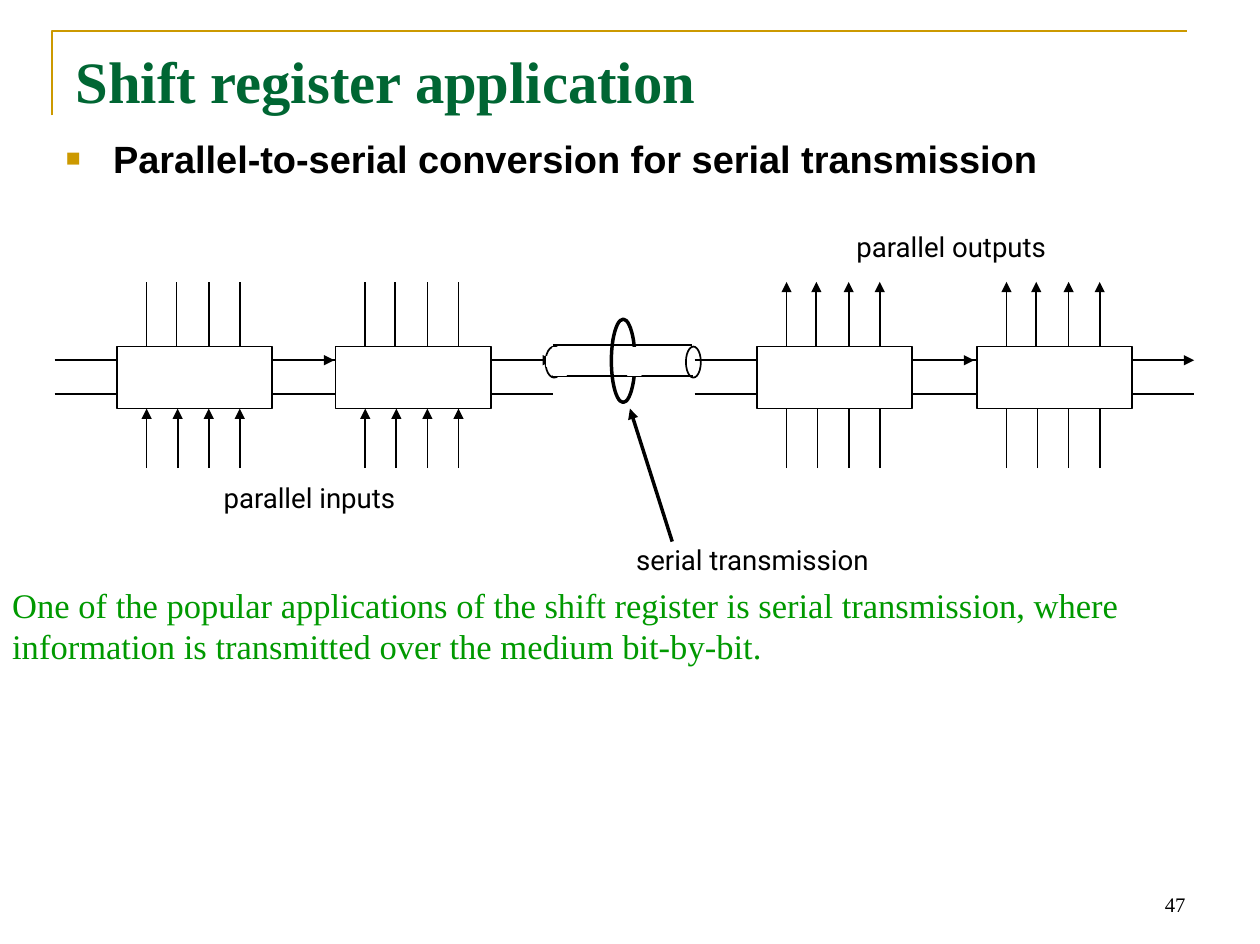
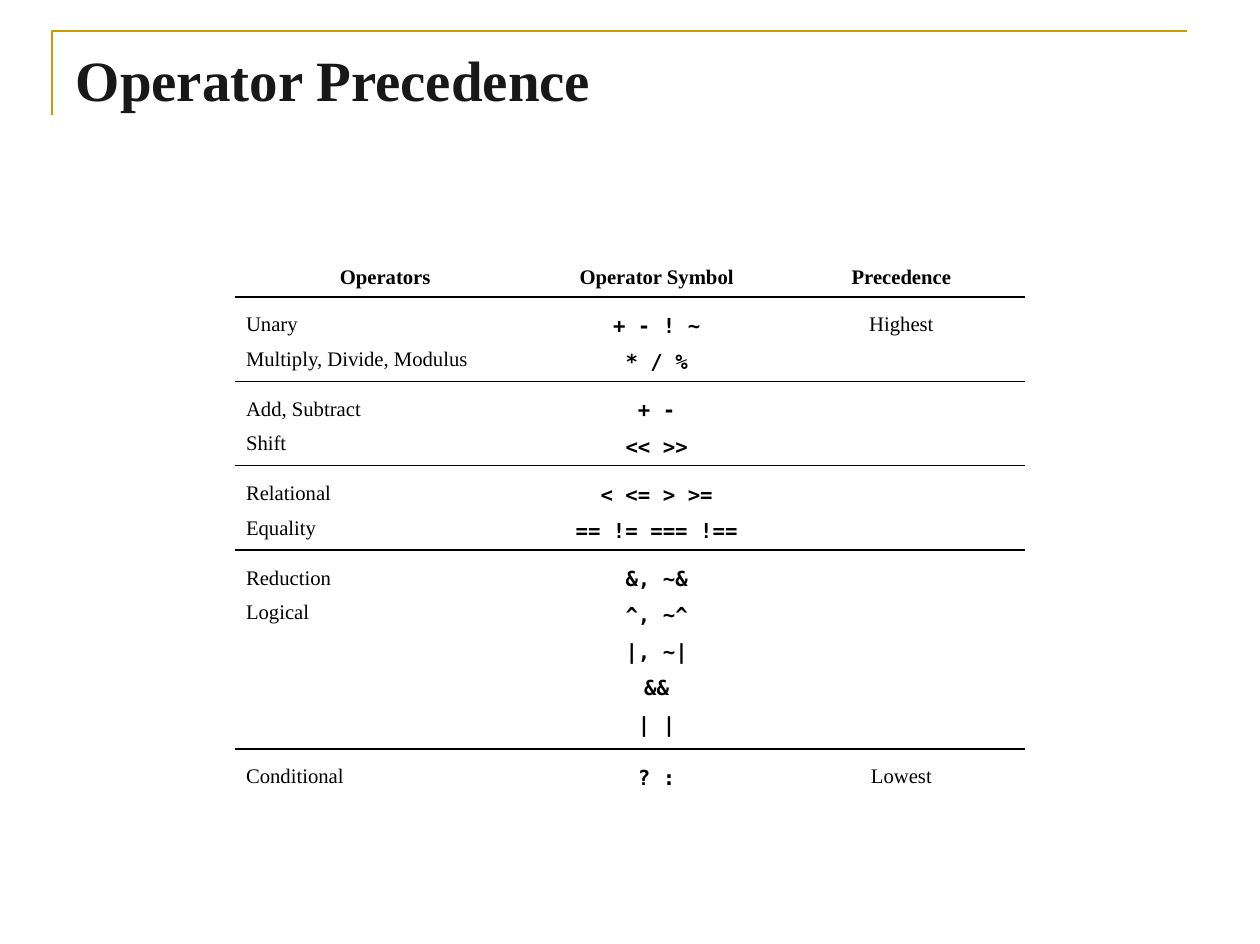
from lxml import etree
from pptx import Presentation
from pptx.dml.color import RGBColor
from pptx.enum.shapes import MSO_CONNECTOR, MSO_SHAPE
from pptx.enum.text import MSO_ANCHOR, MSO_AUTO_SIZE, PP_ALIGN
from pptx.oxml.ns import qn
from pptx.util import Inches, Pt

RECT, OVAL = MSO_SHAPE.RECTANGLE, MSO_SHAPE.OVAL
STRAIGHT = MSO_CONNECTOR.STRAIGHT
LEFT, CENTER, RIGHT = PP_ALIGN.LEFT, PP_ALIGN.CENTER, PP_ALIGN.RIGHT
TOP, BOTTOM = MSO_ANCHOR.TOP, MSO_ANCHOR.BOTTOM

COLORS = {"black": "000000", "white": "FFFFFF", "gold": "CC9900",
          "heading": "006633", "dark": "181818", "note": "009900"}
SERIF, SANS, LABEL, CODE = "Times New Roman", "Arial", "Roboto", "DejaVu Sans Mono"

# Shared by both slides
TITLE_BOX = (0.51, 0.31, 9.12, 1.26)
CORNER_RULE = [(0.42, 0.93), (0.42, 0.25), (9.55, 0.25)]

# Shift register slide
BULLET = "Parallel-to-serial conversion for serial transmission"
BULLET_BOX = (0.43, 1.04, 9.12, 5.02)
NOTE = ("One of the popular applications of the shift register is serial transmission, "
        "where information is transmitted over the medium bit-by-bit.")
NOTE_BOX = (0, 4.65, 10.14, 0.77)
PAGE_NUMBER, PAGE_BOX = "47", (7.27, 6.92, 2.37, 0.51)
DIAGRAM_LABELS = [("parallel inputs", (1.4, 3.86, 2.18, 0.39)),
                  ("parallel outputs", (6.55, 1.84, 2.21, 0.39)),
                  ("serial transmission", (4.4, 4.36, 3.31, 0.39))]
REGISTERS = [(0.94, "sender"), (2.7, "sender"), (6.09, "receiver"), (7.86, "receiver")]
REGISTER_TOP, REGISTER_W, REGISTER_H = 2.79, 1.25, 0.5
SERIAL_Y, CLOCK_Y, LEAD = 2.9, 3.17, 0.5
UPPER_PINS = (0.24, 0.48, 0.74, 0.99)
LOWER_PINS = [0.24 + 0.25 * i for i in range(4)]
PIN_TOP, PIN_BOTTOM = 2.27, 3.77
CABLE_EDGES = [((4.45, 2.78), (5.57, 2.78)), ((4.44, 3.03), (5.58, 3.03))]
CABLE_PARTS = [  # shape, box, fill, line, width; white parts hide what lies behind
    (OVAL, (4.39, 2.79, 0.14, 0.25), None, "black", 1),
    (OVAL, (5.52, 2.79, 0.12, 0.25), None, "black", 1),
    (RECT, (4.45, 2.8, 0.11, 0.22), "white", "white", 1),
    (RECT, (4.4, 2.87, 0.1, 0.08), "white", "white", 1),
    (OVAL, (4.92, 2.57, 0.19, 0.67), None, "black", 2),
    (RECT, (5.05, 2.8, 0.11, 0.22), "white", "white", 1),
]
POINTER = ((5.41, 4.36), (5.07, 3.29))

# Operator slide
HEADER = ("Operators", "Operator Symbol", "Precedence")
OPERATORS = [
    (["Unary", "Multiply, Divide, Modulus"], ["+ - ! ~", "* / %"], ["Highest"]),
    (["Add, Subtract", "Shift"], ["+ -", "<< >>"], []),
    (["Relational", "Equality"], ["< <= > >=", "== != === !=="], []),
    (["Reduction", "Logical"], ["&, ~&", "^, ~^", "|, ~|", "&&", "| |"], []),
    (["Conditional"], ["? :"], ["Lowest"]),
]
TABLE_BOX = (1.9, 2.01, 6.34, 4.4)
COLUMN_WIDTHS = (2.4, 1.97, 1.97)
ROW_HEIGHTS = (0.38, 0.68, 0.68, 0.68, 1.6, 0.38)


def rgb(color):
    return RGBColor.from_string(COLORS[color])


def inches(values):
    return [Inches(v) for v in values]


def place(shape, box):
    shape.left, shape.top, shape.width, shape.height = inches(box)


def write(paragraph, text, size, font=SERIF, color="black", bold=False, **layout):
    """Add one run; layout holds paragraph attributes such as alignment."""
    for name, value in layout.items():
        setattr(paragraph, name, value)
    run = paragraph.add_run()
    run.text = text
    for name, value in {"size": Pt(size), "name": font, "bold": bold}.items():
        setattr(run.font, name, value)
    run.font.color.rgb = rgb(color)


def set_frame(frame, margins=(0.1, 0.05), anchor=TOP, wrap=True):
    across, down = inches(margins)
    settings = {"margin_left": across, "margin_right": across, "margin_top": down,
                "margin_bottom": down, "vertical_anchor": anchor,
                "word_wrap": wrap, "auto_size": MSO_AUTO_SIZE.NONE}
    for name, value in settings.items():
        setattr(frame, name, value)
    return frame.paragraphs[0]


def add_textbox(slide, box, **frame_settings):
    return set_frame(slide.shapes.add_textbox(*inches(box)).text_frame, **frame_settings)


def add_block(slide, kind, box, fill=None, line=None, width=1):
    block = slide.shapes.add_shape(kind, *inches(box))
    block.shadow.inherit = False
    if fill:
        block.fill.solid()
        block.fill.fore_color.rgb = rgb(fill)
    else:
        block.fill.background()
    if line:
        block.line.color.rgb = rgb(line)
        block.line.width = Pt(width)
    else:
        block.line.fill.background()
    return block


def add_line(slide, start, end, arrow=False, width=1):
    connector = slide.shapes.add_connector(STRAIGHT, *inches(start + end))
    connector.line.color.rgb = rgb("black")
    connector.line.width = Pt(width)
    properties = connector.element.find(qn("p:spPr"))
    if arrow:
        etree.SubElement(properties.find(qn("a:ln")), qn("a:tailEnd"), type="triangle")
    etree.SubElement(properties, qn("a:effectLst"))


def add_corner_rule(prs, slide):
    """Draw the gold rule and move it to the master, where every slide shows it."""
    start, *rest = [tuple(inches(point)) for point in CORNER_RULE]
    builder = slide.shapes.build_freeform(*start)
    builder.add_line_segments(rest, close=False)
    rule = builder.convert_to_shape()
    rule.shadow.inherit = False
    rule.fill.background()
    rule.line.color.rgb = rgb("gold")
    rule.line.width = Pt(1.5)
    prs.slide_master.shapes.element.append(rule.element)


def set_title(slide, text, size, color):
    title = slide.shapes.title
    place(title, TITLE_BOX)
    write(set_frame(title.text_frame), text, size, color=color, bold=True, alignment=LEFT)


def add_bullet(slide):
    body = slide.placeholders[1]
    place(body, BULLET_BOX)
    paragraph = set_frame(body.text_frame)
    properties = paragraph._p.get_or_add_pPr()
    properties.set("marL", str(Inches(0.38)))
    properties.set("indent", str(Inches(-0.38)))
    bullet_color = etree.SubElement(properties, qn("a:buClr"))
    etree.SubElement(bullet_color, qn("a:srgbClr"), val=COLORS["gold"])
    etree.SubElement(properties, qn("a:buSzPct"), val="65000")
    etree.SubElement(properties, qn("a:buFont"), typeface=SANS)
    etree.SubElement(properties, qn("a:buChar"), char="■")
    write(paragraph, BULLET, 22, SANS, bold=True, space_before=Pt(0))


def add_register(slide, left, role):
    right, bottom = left + REGISTER_W, REGISTER_TOP + REGISTER_H
    add_block(slide, RECT, (left, REGISTER_TOP, REGISTER_W, REGISTER_H), "white", "black")
    for y, arrow in ((SERIAL_Y, True), (CLOCK_Y, False)):
        add_line(slide, (left - LEAD, y), (left, y))
        add_line(slide, (right, y), (right + LEAD, y), arrow)
    for x in UPPER_PINS:
        add_line(slide, (left + x, REGISTER_TOP), (left + x, PIN_TOP), role == "receiver")
    for x in LOWER_PINS:
        add_line(slide, (left + x, PIN_BOTTOM), (left + x, bottom), role == "sender")


def build_register_slide(slide):
    set_title(slide, "Shift register application", 34, "heading")
    add_bullet(slide)
    for left, role in REGISTERS:
        add_register(slide, left, role)
    for start, end in CABLE_EDGES:
        add_line(slide, start, end)
    for part in CABLE_PARTS:
        add_block(slide, *part)
    note = add_block(slide, RECT, NOTE_BOX, "white")
    write(set_frame(note.text_frame), NOTE, 20, color="note", alignment=LEFT)
    for text, box in DIAGRAM_LABELS:
        label = add_textbox(slide, box, margins=(0.02, 0.03), wrap=False)
        write(label, text, 16, LABEL, alignment=CENTER, line_spacing=Pt(18))
    add_line(slide, *POINTER, arrow=True, width=2)
    write(add_textbox(slide, PAGE_BOX, anchor=BOTTOM), PAGE_NUMBER, 12, alignment=RIGHT)


def add_border(cell, side):
    border = etree.SubElement(cell._tc.get_or_add_tcPr(), qn("a:" + side), w=str(Pt(1)))
    fill = etree.SubElement(border, qn("a:solidFill"))
    etree.SubElement(fill, qn("a:srgbClr"), val=COLORS["black"])


def build_operator_slide(slide):
    set_title(slide, "Operator Precedence", 33, "dark")
    rows = [[[name] for name in HEADER]] + OPERATORS
    table = slide.shapes.add_table(len(rows), len(HEADER), *inches(TABLE_BOX)).table
    table.first_row = table.horz_banding = False
    for column, width in zip(table.columns, COLUMN_WIDTHS):
        column.width = Inches(width)
    for row, height in zip(table.rows, ROW_HEIGHTS):
        row.height = Inches(height)
    for r, row in enumerate(rows):
        for c, lines in enumerate(row):
            cell = table.cell(r, c)
            cell.margin_left = cell.margin_right = Inches(0.08)
            cell.margin_top = cell.margin_bottom = Inches(0.04)
            if r > 0:
                add_border(cell, "lnT")
            if r < len(rows) - 1:
                add_border(cell, "lnB")
            cell.fill.background()
            header, symbol = r == 0, r > 0 and c == 1
            for i, line in enumerate(lines):
                frame = cell.text_frame
                paragraph = frame.add_paragraph() if i else frame.paragraphs[0]
                write(paragraph, line, 12, CODE if symbol else SERIF,
                      bold=header or symbol, line_spacing=1.5,
                      alignment=CENTER if header or c else LEFT)


def main():
    prs = Presentation()
    prs.slide_width, prs.slide_height = inches((10.14, 7.6))
    title_and_content, title_only = prs.slide_layouts[1], prs.slide_layouts[5]
    register_slide = prs.slides.add_slide(title_and_content)
    add_corner_rule(prs, register_slide)
    build_register_slide(register_slide)
    build_operator_slide(prs.slides.add_slide(title_only))
    prs.save("out.pptx")


if __name__ == "__main__":
    main()
